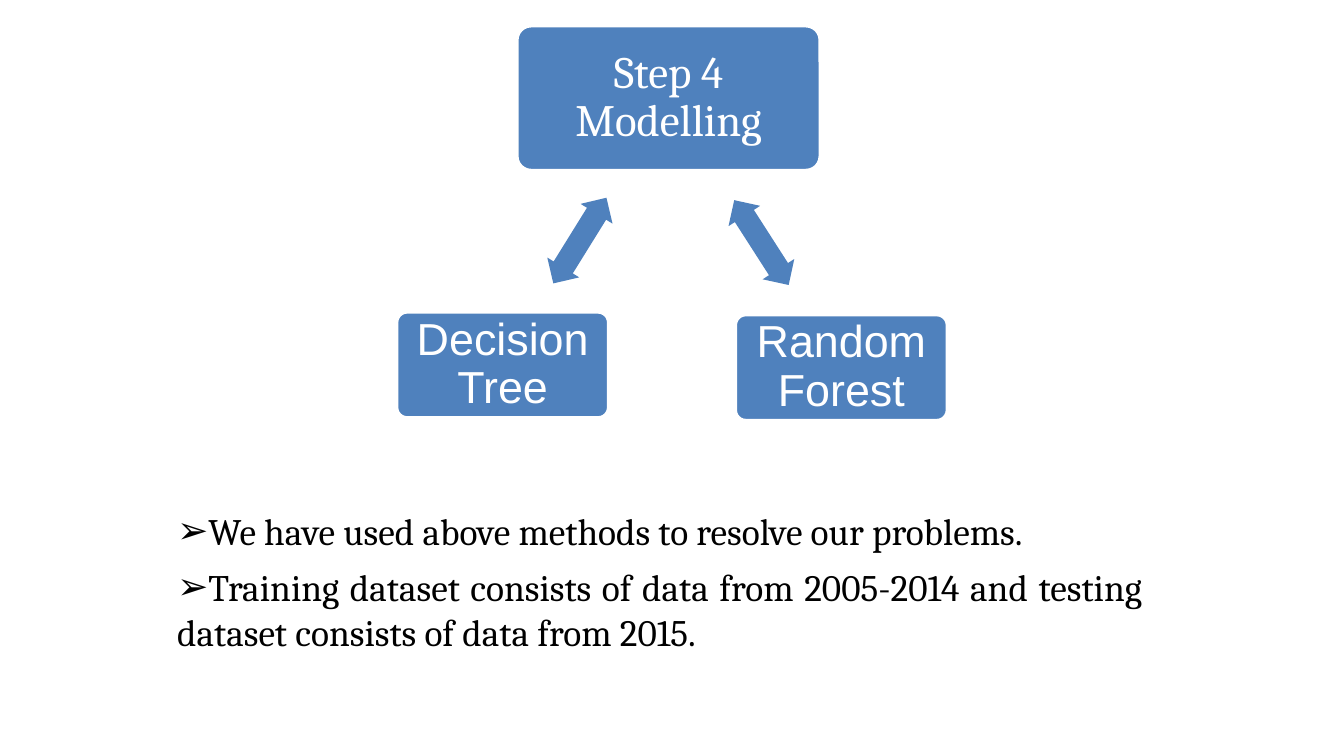
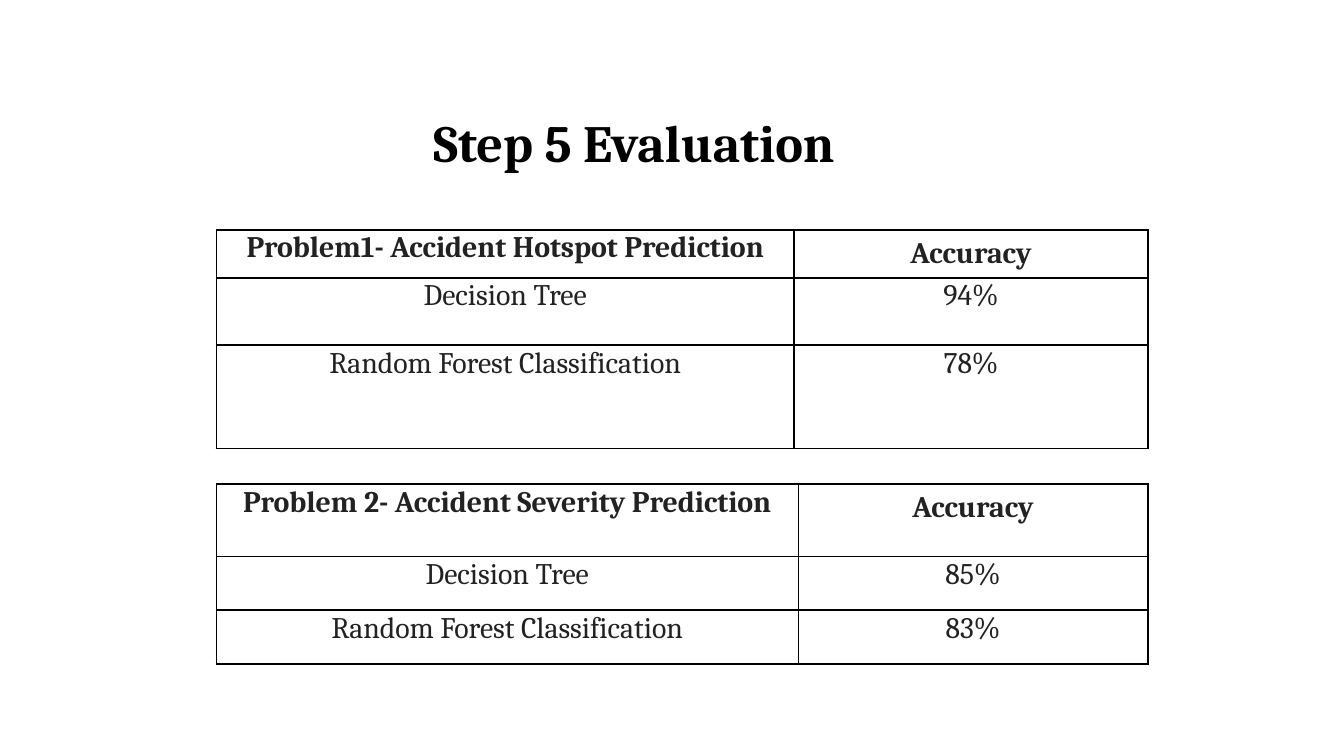
from dataclasses import dataclass

from lxml.etree import SubElement
from pptx import Presentation
from pptx.dml.color import RGBColor as RGB
from pptx.enum.shapes import MSO_SHAPE as SHAPE
from pptx.enum.text import MSO_ANCHOR as ANCHOR, PP_ALIGN as ALIGN
from pptx.oxml.ns import qn
from pptx.util import Emu, Pt

PX = 4572  # EMU per px, 200 px to the inch


@dataclass(frozen=True)
class Theme:
    black: str = "000000"
    white: str = "FFFFFF"
    blue: str = "4F81BD"
    ink: str = "222222"
    serif: str = "Cambria"
    sans: str = "Arial"
    title: int = 28
    node: int = 24
    body: int = 20
    cell: int = 16


T = Theme()


def px(*values):
    return [Emu(v * PX) for v in values]


def apply(target, formats):
    for name, value in formats.items():
        setattr(target, name, value)


def set_insets(target, left, top, right, bottom):
    names = ("margin_left", "margin_top", "margin_right", "margin_bottom")
    apply(target, dict(zip(names, px(left, top, right, bottom))))


def write(p, text, size, color, font=T.serif, bold=False, **para):
    apply(p, {"alignment": ALIGN.CENTER, **para})
    r = p.add_run()
    r.text = text
    apply(r.font, {"name": font, "size": Pt(size), "bold": bold})
    r.font.color.rgb = RGB.from_string(color)


# Text
def add_text(slide, box, anchor=ANCHOR.TOP, right=20):
    tf = slide.shapes.add_textbox(*px(*box)).text_frame
    apply(tf, {"word_wrap": True, "vertical_anchor": anchor})
    set_insets(tf, 20, 20, right, 20)
    return tf


def add_title(slide, text, box):
    tf = add_text(slide, box, ANCHOR.MIDDLE)
    write(tf.paragraphs[0], text, T.title, T.black, bold=True)


def add_bullets(slide, items, box, right):
    tf = add_text(slide, box, right=right)
    for i, item in enumerate(items):
        p = tf.add_paragraph() if i else tf.paragraphs[0]
        write(p, item, T.body, T.black, alignment=ALIGN.JUSTIFY, space_before=Pt(6))
        pPr = p._p.get_or_add_pPr()
        pPr.set("marL", "0")
        pPr.set("indent", "0")
        SubElement(pPr, qn("a:buFont"), typeface=T.sans)
        SubElement(pPr, qn("a:buChar"), char="➢")


# Diagram
def add_blue_shape(slide, kind, box, adjustments):
    sp = slide.shapes.add_shape(kind, *px(*box))
    sp.shadow.inherit = False
    sp.fill.solid()
    sp.fill.fore_color.rgb = RGB.from_string(T.blue)
    for i, value in enumerate(adjustments):
        sp.adjustments[i] = value
    return sp


def add_node(slide, text, box, font):
    sp = add_blue_shape(slide, SHAPE.ROUNDED_RECTANGLE, box, [0.1])
    sp.line.color.rgb = RGB.from_string(T.white)
    sp.line.width = Pt(2)
    tf = sp.text_frame
    apply(tf, {"word_wrap": True, "vertical_anchor": ANCHOR.MIDDLE})
    set_insets(tf, 20, 20, 20, 20)
    write(tf.paragraphs[0], text, T.node, T.white, font, line_spacing=0.9)


def add_double_arrow(slide, left, top, rotation):
    box = (left, top, 150, 56)
    sp = add_blue_shape(slide, SHAPE.LEFT_RIGHT_ARROW, box, [0.6, 0.5])
    sp.line.fill.background()
    sp.rotation = rotation


# Tables
def add_borders(cell):
    tcPr = cell._tc.get_or_add_tcPr()
    for side in ("lnL", "lnR", "lnT", "lnB"):
        ln = SubElement(tcPr, qn(f"a:{side}"), w=str(Pt(1)))
        fill = SubElement(ln, qn("a:solidFill"))
        SubElement(fill, qn("a:srgbClr"), val=T.black)


def add_accuracy_table(slide, top, widths, heights, problem, scores):
    rows = [(problem, "Accuracy"), *scores]
    box = px(322, top, sum(widths), sum(heights))
    table = slide.shapes.add_table(len(rows), len(widths), *box).table
    apply(table, {"first_row": False, "horz_banding": False})
    for column, width in zip(table.columns, px(*widths)):
        column.width = width
    for row, height in zip(table.rows, px(*heights)):
        row.height = height
    for i, values in enumerate(rows):
        for j, value in enumerate(values):
            cell = table.cell(i, j)
            is_accuracy_head = (i, j) == (0, 1)
            set_insets(cell, *((20, 10, 20, 8) if is_accuracy_head else (2, 2, 2, 0)))
            add_borders(cell)
            cell.fill.background()
            write(cell.text_frame.paragraphs[0], value, T.cell, T.ink, bold=i == 0)


# Slides
def build_modelling(slide):
    add_bullets(slide, [
        "We have used above methods to resolve our problems.",
        "Training dataset consists of data from 2005-2014 and testing "
        "dataset consists of data from 2015.",
    ], (244, 736, 1606, 288), right=149)
    add_node(slide, "Step 4 Modelling", (769, 38, 452, 216), T.serif)
    add_node(slide, "Random Forest", (1094, 468, 316, 158), T.sans)
    add_node(slide, "Decision Tree", (590, 464, 316, 158), T.sans)
    add_double_arrow(slide, 1058, 333, 57.3)
    add_double_arrow(slide, 788, 330, 301.8)


def build_evaluation(slide):
    add_title(slide, "Step 5 Evaluation ", (102, 90, 1700, 242))
    tree, forest = "Decision Tree", "Random Forest Classification"
    add_accuracy_table(slide, 342, (860, 526), (70, 100, 154),
                       "Problem1- Accident Hotspot Prediction",
                       [(tree, "94%"), (forest, "78%")])
    add_accuracy_table(slide, 720, (866, 520), (108, 80, 80),
                       "Problem 2- Accident Severity Prediction",
                       [(tree, "85%"), (forest, "83%")])


def main():
    prs = Presentation()
    prs.slide_width, prs.slide_height = px(2000, 1125)
    for build in (build_modelling, build_evaluation):
        build(prs.slides.add_slide(prs.slide_layouts[6]))
    prs.save("out.pptx")


if __name__ == "__main__":
    main()
